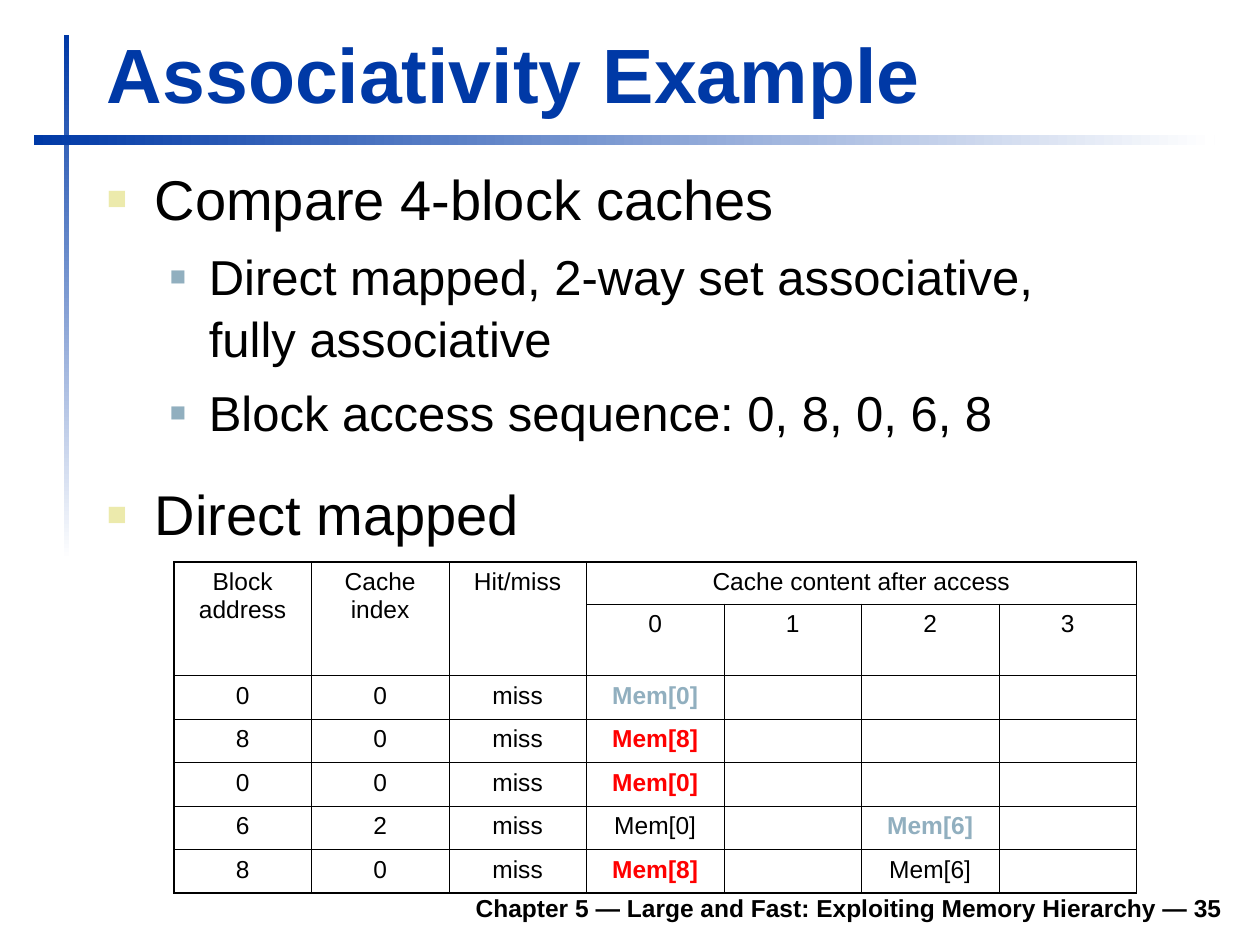
from dataclasses import dataclass

from lxml import etree
from pptx import Presentation
from pptx import util as u
from pptx.dml import color as clr
from pptx.enum import shapes, text
from pptx.oxml import ns

BLUE, BLACK, RED, STEEL, SAND = "0039A6", "000000", "FF0000", "91AFBF", "ECEAAC"
THIN, THICK = 0.45, 1.08


@dataclass
class Bar:
    box: tuple
    angle: int


@dataclass
class Label:
    words: str
    box: tuple
    size: int
    ink: str
    align: text.PP_ALIGN


@dataclass
class Bullet:
    words: str
    level: int = 0
    before: float = 8


@dataclass
class Level:
    size: int
    left: float
    hang: float
    ink: str
    scale: int


BARS = [Bar((0.51, 0.28, 0.04, 4.17), 270), Bar((0.27, 1.07, 9.37, 0.08), 0)]
LABELS = [
    Label("Chapter 5 — Large and Fast: Exploiting Memory Hierarchy — 35",
          (1.85, 6.98, 7.95, 0.39), 14, BLACK, text.PP_ALIGN.RIGHT),
    Label("Associativity Example", (0.75, 0.16, 9.03, 0.83), 44, BLUE,
          text.PP_ALIGN.LEFT),
]
LEVELS = [Level(32, 0.38, 0.38, SAND, 60), Level(28, 0.81, 0.31, STEEL, 55)]
BULLETS = [
    Bullet("Compare 4-block caches"),
    Bullet("Direct mapped, 2-way set associative,\nfully associative", 1, 7),
    Bullet("Block access sequence: 0, 8, 0, 6, 8", 1, 7),
    Bullet("Direct mapped", 0, 20),
]

# Table rows; a cell is its words, or its words with a highlight colour
ROWS = [
    ["Block address", "Cache index", "Hit/miss", "Cache content after access", "", "", ""],
    ["", "", "", "0", "1", "2", "3"],
    ["0", "0", "miss", ("Mem[0]", STEEL), "", "", ""],
    ["8", "0", "miss", ("Mem[8]", RED), "", "", ""],
    ["0", "0", "miss", ("Mem[0]", RED), "", "", ""],
    ["6", "2", "miss", "Mem[0]", "", ("Mem[6]", STEEL), ""],
    ["8", "0", "miss", ("Mem[8]", RED), "", "Mem[6]", ""],
]
HEIGHTS = [0.32, 0.54] + [1.73 / 5] * 5
WIDTH = 7.64


def rgb(ink: str) -> clr.RGBColor:
    return clr.RGBColor.from_string(ink)


def inches(box: tuple) -> list:
    return [u.Inches(n) for n in box]


def apply(item, form: dict) -> None:
    for name, value in form.items():
        setattr(item, name, value)


def write(para, words: str, size: int, ink: str, bold: bool = False) -> None:
    para.text = words
    for run in para.runs:
        apply(run.font, {"name": "Arial", "size": u.Pt(size), "bold": bold})
        run.font.color.rgb = rgb(ink)


def add_bar(slide, bar: Bar) -> None:
    shape = slide.shapes.add_shape(shapes.MSO_SHAPE.RECTANGLE, *inches(bar.box))
    shape.shadow.inherit = False
    shape.line.fill.background()
    shape.fill.gradient()
    shape.fill.gradient_angle = bar.angle
    for stop, ink, place in zip(shape.fill.gradient_stops, (BLUE, "FFFFFF"), (0, 1)):
        stop.color.rgb = rgb(ink)
        stop.position = place


def add_frame(slide, box: tuple, anchor):
    frame = slide.shapes.add_textbox(*inches(box)).text_frame
    apply(frame, {"word_wrap": True, "vertical_anchor": anchor})
    return frame


def add_label(slide, label: Label) -> None:
    para = add_frame(slide, label.box, text.MSO_ANCHOR.BOTTOM).paragraphs[0]
    para.alignment = label.align
    write(para, label.words, label.size, label.ink, True)


def add_bullet(para, item: Bullet) -> None:
    level = LEVELS[item.level]
    apply(para, {"level": item.level, "space_before": u.Pt(item.before),
                 "line_spacing": 1.05})
    write(para, item.words, level.size, BLACK)
    props = para._p.get_or_add_pPr()
    props.set("marL", str(u.Inches(level.left)))
    props.set("indent", str(-u.Inches(level.hang)))
    tint = etree.SubElement(props, ns.qn("a:buClr"))
    etree.SubElement(tint, ns.qn("a:srgbClr"), val=level.ink)
    etree.SubElement(props, ns.qn("a:buSzPct"), val=str(level.scale * 1000))
    etree.SubElement(props, ns.qn("a:buFont"), typeface="Arial")
    etree.SubElement(props, ns.qn("a:buChar"), char="■")


def add_edge(cell, side: str, weight: float) -> None:
    props = cell._tc.get_or_add_tcPr()
    line = etree.SubElement(props, ns.qn(f"a:ln{side}"), w=str(u.Pt(weight)))
    fill = etree.SubElement(line, ns.qn("a:solidFill"))
    etree.SubElement(fill, ns.qn("a:srgbClr"), val=BLACK)


def fill_cell(cell, entry, outer: dict) -> None:
    for side, edge in outer.items():
        add_edge(cell, side, THICK if edge else THIN)
    cell.fill.background()
    words, ink = entry if isinstance(entry, tuple) else (entry, BLACK)
    para = cell.text_frame.paragraphs[0]
    apply(para, {"alignment": text.PP_ALIGN.CENTER, "space_before": u.Pt(3.5)})
    if words:
        write(para, words, 14, ink, ink != BLACK)
    else:
        para._p.get_or_add_endParaRPr().set("sz", "1400")


def add_grid(slide) -> None:
    high, wide = len(ROWS), len(ROWS[0])
    box = (1.38, 4.46, WIDTH, sum(HEIGHTS))
    grid = slide.shapes.add_table(high, wide, *inches(box)).table
    apply(grid, {"first_row": False, "horz_banding": False})
    for col in grid.columns:
        col.width = u.Inches(WIDTH / wide)
    for row, height in zip(grid.rows, HEIGHTS):
        row.height = u.Inches(height)
    # Header spans
    for col in range(3):
        grid.cell(0, col).merge(grid.cell(1, col))
    grid.cell(0, 3).merge(grid.cell(0, wide - 1))
    for r, row in enumerate(ROWS):
        for c, entry in enumerate(row):
            cell = grid.cell(r, c)
            end = c + (cell.span_width if cell.is_merge_origin else 1)
            outer = {"L": c == 0, "R": end == wide, "T": r == 0, "B": r == high - 1}
            fill_cell(cell, entry, outer)


def main() -> None:
    deck = Presentation()
    apply(deck, {"slide_width": u.Inches(10), "slide_height": u.Inches(7.5)})
    slide = deck.slides.add_slide(deck.slide_layouts[6])

    # Rules, footer and title
    for bar in BARS:
        add_bar(slide, bar)
    for label in LABELS:
        add_label(slide, label)

    # Bullets
    frame = add_frame(slide, (0.75, 1.23, 9.04, 3.07), text.MSO_ANCHOR.TOP)
    for i, item in enumerate(BULLETS):
        add_bullet(frame.add_paragraph() if i else frame.paragraphs[0], item)

    # Cache table
    add_grid(slide)
    deck.save("out.pptx")


if __name__ == "__main__":
    main()
